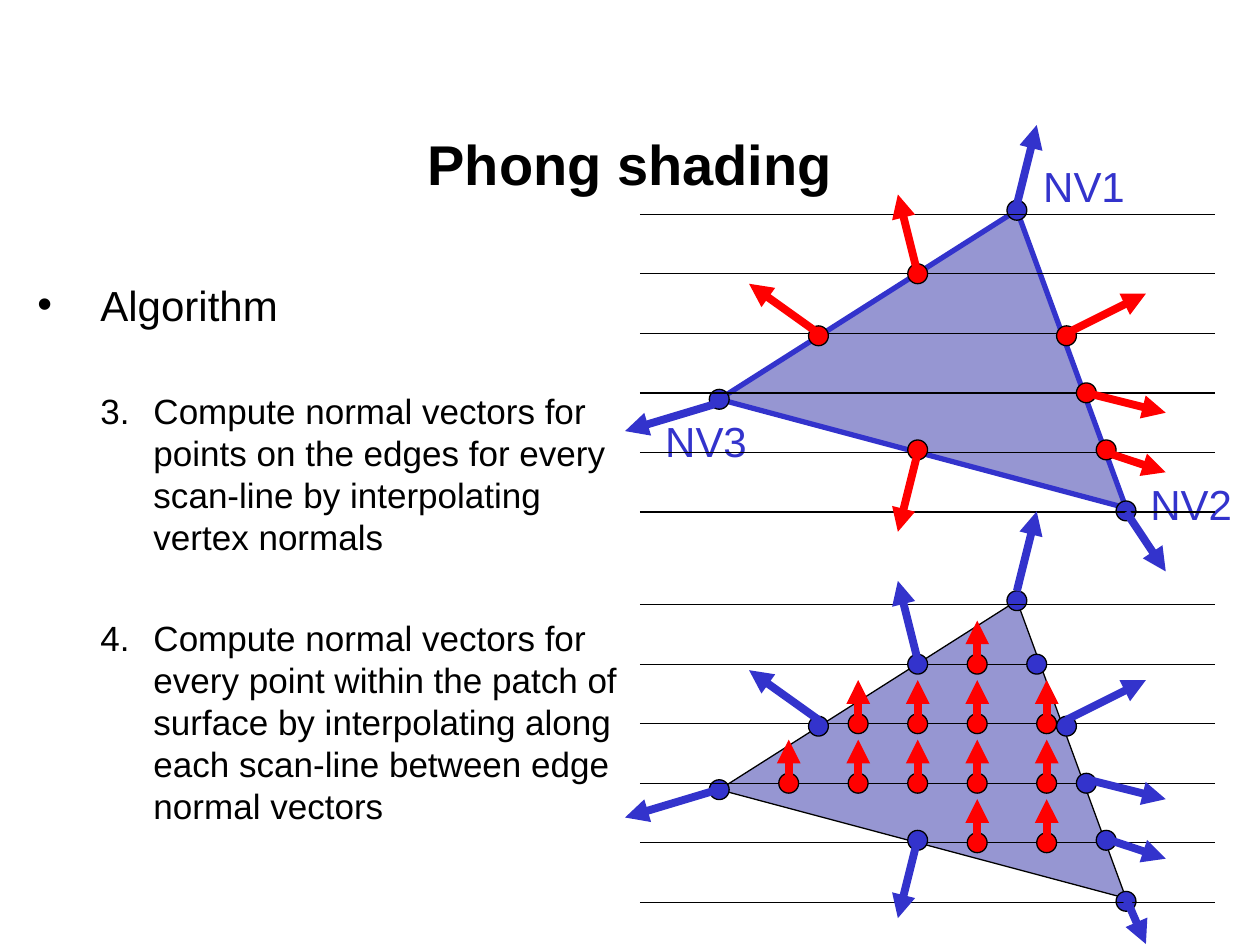
from dataclasses import dataclass

from lxml.etree import SubElement
from pptx import Presentation
from pptx.dml.color import RGBColor
from pptx.enum.shapes import MSO_CONNECTOR, MSO_SHAPE
from pptx.enum.text import MSO_ANCHOR, MSO_AUTO_SIZE, PP_ALIGN
from pptx.oxml.ns import qn
from pptx.util import Cm, Pt


@dataclass(frozen=True)
class Theme:
    font: str = "Arial"
    black: RGBColor = RGBColor(0x00, 0x00, 0x00)
    blue: RGBColor = RGBColor(0x33, 0x33, 0xCC)
    red: RGBColor = RGBColor(0xFF, 0x00, 0x00)
    patch: RGBColor = RGBColor(0x96, 0x96, 0xD2)
    title_size: int = 32
    text_size: int = 24
    step_size: int = 20
    thin: float = 0.75
    edge: float = 3
    arrow: float = 4.5


THEME = Theme()

# All diagram lengths are centimetres from the left end of the first scan-line
SCAN_LENGTH, SCAN_GAP, SCAN_COUNT = 11.6, 1.2, 6
DOT_SIZE = 0.4
TRIANGLE = [(7.6, -0.08), (9.8, 5.92), (1.6, 3.73)]
VERTEX_DOTS = [(7.6, -0.08), (9.8, 5.98), (1.6, 3.73)]
EDGE_DOTS = [(8.6, 2.45), (9, 3.6), (9.4, 4.75),
             (5.6, 1.2), (3.6, 2.45), (5.6, 4.75)]
VERTEX_NORMALS = [((7.6, -0.2), (8, -1.8)), ((1.5, 3.83), (-0.3, 4.37))]
EDGE_NORMALS = [((8.6, 2.4), (10.2, 1.6)), ((9, 3.6), (10.6, 4)),
                ((9.4, 4.8), (10.6, 5.2)), ((5.6, 1.2), (5.2, -0.4)),
                ((3.6, 2.4), (2.2, 1.4)), ((5.6, 4.8), (5.2, 6.4))]
LABELS = [("NV1", 7.88, -1.2), ("NV2", 10.04, 5.2), ("NV3", 0.26, 3.93)]
# Interior points: scan-line number -> horizontal positions
INTERIOR = {1: [6.8], 2: [4.4, 5.6, 6.8, 8.2],
            3: [3, 4.4, 5.6, 6.8, 8.2], 4: [6.8, 8.2]}

STEPS = [
    "Compute normal vectors for points on the edges for every scan-line "
    "by interpolating vertex normals",
    "Compute normal vectors for every point within the patch of surface "
    "by interpolating along each scan-line between edge normal vectors",
]


def set_all(target, values):
    for name, value in values.items():
        setattr(target, name, value)


def set_font(paragraph, size, color, bold=False):
    set_all(paragraph.font, {"name": THEME.font, "size": Pt(size), "bold": bold})
    paragraph.font.color.rgb = color


def place(shape, left, top, width, height):
    set_all(shape, {"left": Cm(left), "top": Cm(top),
                    "width": Cm(width), "height": Cm(height)})


def paint(shape, fill, line, width):
    shape.shadow.inherit = False
    shape.fill.solid()
    shape.fill.fore_color.rgb = fill
    shape.line.color.rgb = line
    shape.line.width = Pt(width)


def add_title(title, box):
    place(title, *box)
    title.text_frame.vertical_anchor = MSO_ANCHOR.MIDDLE
    title.text_frame.text = "Phong shading"
    paragraph = title.text_frame.paragraphs[0]
    paragraph.alignment = PP_ALIGN.CENTER
    set_font(paragraph, THEME.title_size, THEME.black, bold=True)


def format_item(paragraph, margin, indent, size, before, bullet, **bullet_values):
    set_all(paragraph, {"space_before": Pt(before), "space_after": Pt(0),
                        "line_spacing": Pt(size * 1.2)})
    properties = paragraph._p.get_or_add_pPr()
    properties.set("marL", str(Cm(margin)))
    properties.set("indent", str(Cm(indent)))
    SubElement(properties, qn(bullet), bullet_values)
    set_font(paragraph, size, THEME.black)


def add_algorithm(body, box):
    place(body, *box)
    frame = body.text_frame
    frame.auto_size = MSO_AUTO_SIZE.NONE
    frame.text = "Algorithm"
    format_item(frame.paragraphs[0], 1.27, -1.27, THEME.text_size, 0,
                "a:buChar", char="•")
    for step in STEPS:
        paragraph = frame.add_paragraph()
        set_all(paragraph, {"text": step, "level": 1})
        format_item(paragraph, 2.34, -1.07, THEME.step_size, 34,
                    "a:buAutoNum", type="arabicPeriod", startAt="3")


class Diagram:
    """A triangle crossed by scan-lines, placed relative to its box."""

    def __init__(self, slide, left, top):
        self.shapes, self.left, self.top = slide.shapes, left, top

    def point(self, x, y):
        return Cm(self.left + x), Cm(self.top + y)

    def line(self, start, end, color, width, arrow=False):
        connector = self.shapes.add_connector(
            MSO_CONNECTOR.STRAIGHT, *self.point(*start), *self.point(*end))
        connector.line.color.rgb = color
        connector.line.width = Pt(width)
        properties = connector._element.spPr
        if arrow:
            SubElement(properties.find(qn("a:ln")), qn("a:tailEnd"), type="triangle")
        SubElement(properties, qn("a:effectLst"))

    def normals(self, arrows, color, shift=0):
        for (x1, y1), (x2, y2) in arrows:
            self.line((x1, y1 + shift), (x2, y2 + shift), color, THEME.arrow, True)

    def dots(self, centres, color):
        for x, y in centres:
            dot = self.shapes.add_shape(
                MSO_SHAPE.OVAL, *self.point(x - DOT_SIZE / 2, y - DOT_SIZE / 2),
                Cm(DOT_SIZE), Cm(DOT_SIZE))
            paint(dot, color, THEME.black, THEME.thin)

    def triangle(self, color, width):
        builder = self.shapes.build_freeform(*self.point(*TRIANGLE[0]), scale=1.0)
        builder.add_line_segments([self.point(*corner) for corner in TRIANGLE[1:]])
        paint(builder.convert_to_shape(), THEME.patch, color, width)
        self.dots(VERTEX_DOTS, THEME.blue)

    def labels(self):
        for text, x, y in LABELS:
            frame = self.shapes.add_textbox(
                *self.point(x, y), Cm(2.15), Cm(1.27)).text_frame
            set_all(frame, {"word_wrap": False, "text": text})
            set_font(frame.paragraphs[0], THEME.text_size, THEME.blue)

    def scan_lines(self):
        for row in range(SCAN_COUNT):
            y = row * SCAN_GAP
            self.line((0, y), (SCAN_LENGTH, y), THEME.black, THEME.thin)


def add_edge_diagram(slide, left, top):
    diagram = Diagram(slide, left, top)
    diagram.triangle(THEME.blue, THEME.edge)
    diagram.labels()
    diagram.scan_lines()
    diagram.dots(EDGE_DOTS, THEME.red)
    diagram.normals(VERTEX_NORMALS + [((9.8, 6), (10.6, 7.2))], THEME.blue)
    diagram.normals(EDGE_NORMALS, THEME.red)


def add_patch_diagram(slide, left, top):
    diagram = Diagram(slide, left, top)
    diagram.triangle(THEME.black, THEME.thin)
    diagram.scan_lines()
    diagram.dots(EDGE_DOTS + [(8, 1.2)], THEME.blue)
    interior = [(x, row * SCAN_GAP) for row, xs in INTERIOR.items() for x in xs]
    diagram.dots(interior, THEME.red)
    shift = -0.08
    diagram.normals([((x, y), (x, y - 0.8)) for x, y in interior], THEME.red, shift)
    diagram.normals(VERTEX_NORMALS + EDGE_NORMALS + [((9.8, 6), (10.2, 6.92))],
                    THEME.blue, shift)


def main():
    presentation = Presentation()
    set_all(presentation, {"slide_width": Cm(25.4), "slide_height": Cm(19.05)})
    slide = presentation.slides.add_slide(presentation.slide_layouts[1])
    # Text on the left
    add_title(slide.shapes.title, (1.9, 1.7, 21.6, 3.18))
    add_algorithm(slide.placeholders[1], (0.5, 5.5, 12.25, 13.55))
    # Diagrams on the right
    add_edge_diagram(slide, 12.9, 4.32)
    add_patch_diagram(slide, 12.9, 12.19)
    presentation.save("out.pptx")


if __name__ == "__main__":
    main()
